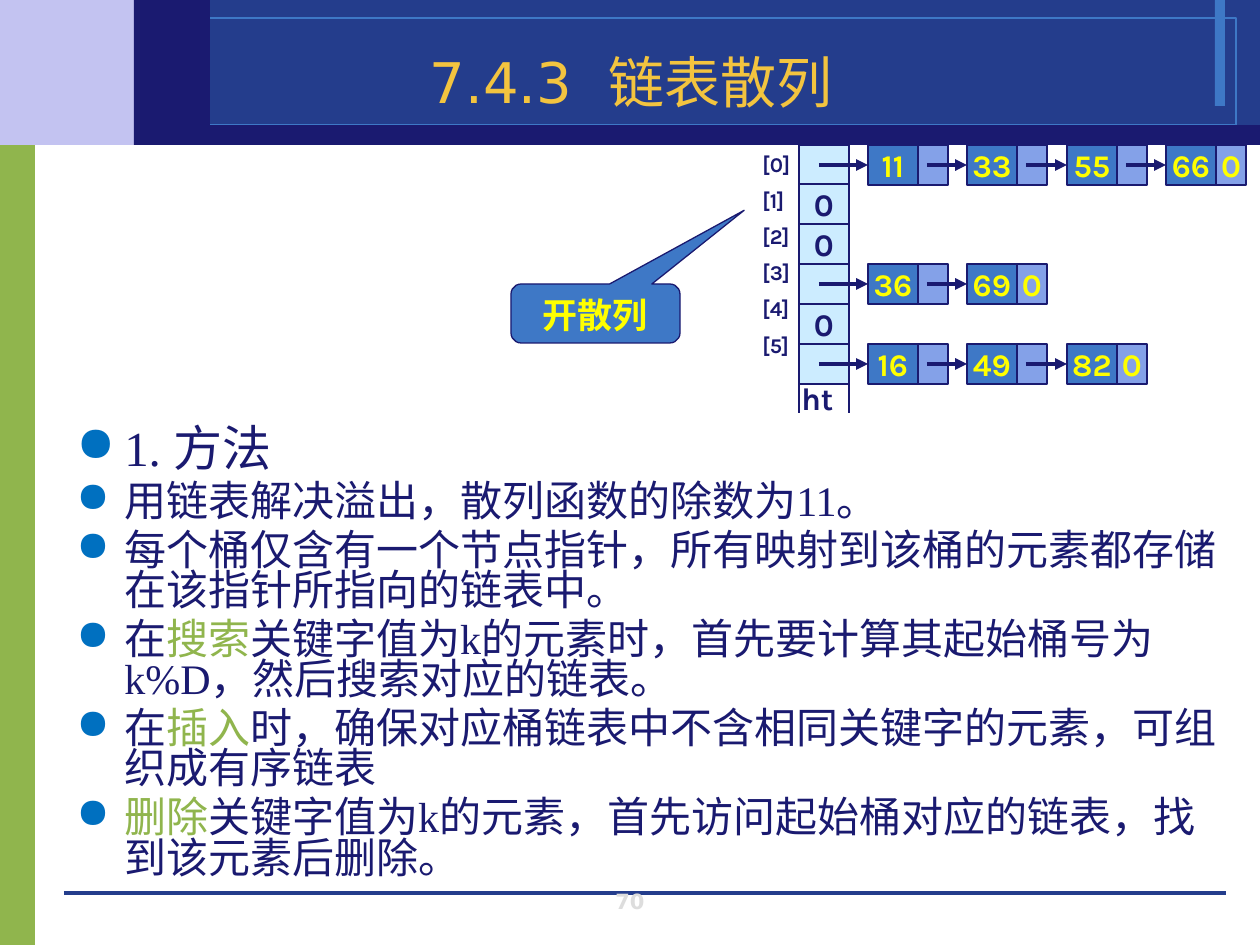
from collections import namedtuple

from lxml.etree import SubElement
from pptx import Presentation
from pptx.dml.color import RGBColor
from pptx.enum.shapes import MSO_CONNECTOR, MSO_SHAPE as Shape
from pptx.enum.text import MSO_ANCHOR as Anchor, PP_ALIGN as Align
from pptx.oxml.ns import qn
from pptx.util import Inches, Pt

PX = 7257  # EMU in one px, 126 px to the inch
Box = namedtuple("Box", "left top width height")

NAVY = RGBColor(0x1A, 0x1A, 0x70)
ROYAL = RGBColor(0x24, 0x3D, 0x8C)
BLUE = RGBColor(0x3E, 0x78, 0xC6)
PERIWINKLE = RGBColor(0x84, 0xA1, 0xE8)
LAVENDER = RGBColor(0xC3, 0xC3, 0xF1)
ICE = RGBColor(0xCC, 0xEC, 0xFF)
GREEN = RGBColor(0x90, 0xB5, 0x4D)
GOLD = RGBColor(0xF3, 0xC4, 0x3F)
YELLOW = RGBColor(0xFF, 0xFF, 0x00)
GREY = RGBColor(0xDD, 0xDD, 0xDD)
BULLET = "0070C0"

TITLE = dict(name="DejaVu Sans", size=Pt(32), color=GOLD)
PAGE = dict(name="DejaVu Sans", size=Pt(12), color=GREY, bold=True)
HEADING = dict(name="Times New Roman", size=Pt(28), color=NAVY)
BODY = dict(HEADING, size=Pt(24))
KEYWORD = dict(BODY, color=GREEN)
BUCKET = dict(name="Karla", size=Pt(18), color=NAVY, bold=True)
INDEX = dict(BUCKET, size=Pt(12))
NODE = dict(BUCKET, color=YELLOW)
CALLOUT = dict(NODE, size=Pt(20))

POINTS = [
    [("1. 方法", HEADING)],
    [("用链表解决溢出，散列函数的除数为11。", BODY)],
    [("每个桶仅含有一个节点指针，所有映射到该桶的元素都存储在该指针所指向的链表中。", BODY)],
    [("在", BODY), ("搜索", KEYWORD),
     ("关键字值为k的元素时，首先要计算其起始桶号为k%D，然后搜索对应的链表。", BODY)],
    [("在", BODY), ("插入", KEYWORD),
     ("时，确保对应桶链表中不含相同关键字的元素，可组织成有序链表", BODY)],
    [("删除", KEYWORD),
     ("关键字值为k的元素，首先访问起始桶对应的链表，找到该元素后删除。", BODY)],
]
CHAINS = [[11, 33, 55, 66], [], [], [36, 69], [], [16, 49, 82]]


def emu(*lengths):
    return [length * PX for length in lengths]


def add_run(paragraph, text, style):
    run = paragraph.add_run()
    run.text = text
    for name, value in style.items():
        if name == "color":
            run.font.color.rgb = value
        else:
            setattr(run.font, name, value)


def add_block(slide, box, fill=None, line=None, weight=1.5, kind=Shape.RECTANGLE):
    shape = slide.shapes.add_shape(kind, *emu(*box))
    shape.shadow.inherit = False
    if fill is None:
        shape.fill.background()
    else:
        shape.fill.solid()
        shape.fill.fore_color.rgb = fill
    if line is None:
        shape.line.fill.background()
    else:
        shape.line.color.rgb = line
        shape.line.width = Pt(weight)
    return shape


def add_line(slide, start, end, color=NAVY, weight=1.5, target=None):
    """Straight line; with a target it is an arrow joined to its left side."""
    line = slide.shapes.add_connector(MSO_CONNECTOR.STRAIGHT, *emu(*start, *end))
    line.line.color.rgb = color
    line.line.width = Pt(weight)
    SubElement(line._element.spPr, qn("a:effectLst"))
    if target is not None:
        line.end_connect(target, 1)
        SubElement(line.line._get_or_add_ln(), qn("a:tailEnd"), type="triangle")


def write(shape, text, style, align=Align.CENTER, anchor=Anchor.MIDDLE, wrap=False):
    frame = shape.text_frame
    frame.word_wrap = wrap
    frame.vertical_anchor = anchor
    paragraph = frame.paragraphs[0]
    paragraph.alignment = align
    add_run(paragraph, text, style)


def add_text(slide, box, text, style, align=Align.CENTER, anchor=Anchor.BOTTOM):
    write(slide.shapes.add_textbox(*emu(*box)), text, style, align, anchor, True)


def add_frame(slide, box):
    """Banner, side bar and footer rule around the slide."""
    left, top, width, height = box
    banner = 145
    blocks = [
        (Box(0, 135, 35, height - 135), GREEN),
        (Box(0, 0, 193, banner), LAVENDER),
        (Box(193, 0, width - 193, banner), ROYAL),
        (Box(1215, 0, 10, 106), BLUE),
        (Box(150, 18, 1086, 107), None),
        (Box(164, 125, width - 164, banner - 125), NAVY),
        (Box(134, 0, 76, banner), NAVY),
    ]
    for part, fill in blocks:
        place = part._replace(left=left + part.left, top=top + part.top)
        add_block(slide, place, fill, None if fill else BLUE, 0)
    add_line(slide, (left + 64, top + 893), (left + 1226, top + 893), ROYAL, 0)


def add_points(slide, box):
    frame = slide.shapes.add_textbox(*emu(*box)).text_frame
    frame.word_wrap = True
    for number, runs in enumerate(POINTS):
        paragraph = frame.add_paragraph() if number else frame.paragraphs[0]
        properties = paragraph._p.get_or_add_pPr()
        properties.set("marL", str(Inches(0.38)))
        properties.set("indent", str(-Inches(0.38)))
        color = SubElement(properties, qn("a:buClr"))
        SubElement(color, qn("a:srgbClr"), val=BULLET)
        SubElement(properties, qn("a:buChar"), char="●")
        paragraph.line_spacing = 0.8
        if number:
            paragraph.space_before = Pt(4.8)
        for text, style in runs:
            add_run(paragraph, text, style)


def add_chain(slide, left, top, keys, start):
    """Linked nodes; the first arrow starts at start, the last link holds 0."""
    middle = top + 20
    for number, key in enumerate(keys):
        node_left = left + number * 199 // 2
        node = add_block(slide, Box(node_left, top, 50, 40), BLUE, NAVY)
        write(node, str(key), NODE)
        link = add_block(slide, Box(node_left + 50, top, 30, 40), PERIWINKLE, NAVY)
        if number == len(keys) - 1:
            write(link, "0", NODE)
        add_line(slide, (start, middle), (node_left, middle), weight=2.25, target=node)
        start = node_left + 59


def add_hash_table(slide, box):
    """Index labels, bucket column and one chain for each filled bucket."""
    left, top, width, height = box
    column = left + 49
    for side in (column, column + 50):
        add_line(slide, (side, top), (side, top + height))
    for row, keys in enumerate(CHAINS):
        row_top = top + row * 239 // 6
        bucket = add_block(slide, Box(column, row_top, 50, 40), ICE, NAVY)
        if keys:
            add_chain(slide, column + 69, row_top, keys, column + 20)
        else:
            write(bucket, "0", BUCKET)

    labels = slide.shapes.add_textbox(*emu(left, top, 59, 227)).text_frame
    labels.word_wrap = True
    for row in range(len(CHAINS)):
        paragraph = labels.add_paragraph() if row else labels.paragraphs[0]
        if row:
            paragraph.space_before = Pt(6.3)
        add_run(paragraph, f"[{row}]", INDEX)
    add_text(slide, Box(left + 39, top + 228, 69, 50), "ht", BUCKET, Align.LEFT, Anchor.TOP)


def add_callout(slide, box):
    callout = add_block(slide, box, BLUE, NAVY, 0.75, Shape.ROUNDED_RECTANGULAR_CALLOUT)
    for number, value in enumerate((0.88, -1.75, 0.17)):
        callout.adjustments[number] = value
    write(callout, "开散列", CALLOUT, anchor=Anchor.TOP, wrap=True)


def main():
    presentation = Presentation()
    presentation.slide_width = Inches(10)
    presentation.slide_height = Inches(7.5)
    slide = presentation.slides.add_slide(presentation.slide_layouts[6])
    add_frame(slide, Box(0, 0, 1260, 945))
    add_text(slide, Box(387, 26, 488, 95), "7.4.3  链表散列", TITLE)
    add_text(slide, Box(483, 888, 294, 32), "70", PAGE)
    add_points(slide, Box(64, 423, 1181, 480))
    add_hash_table(slide, Box(750, 145, 497, 268))
    add_callout(slide, Box(511, 284, 169, 59))
    presentation.save("out.pptx")


if __name__ == "__main__":
    main()
